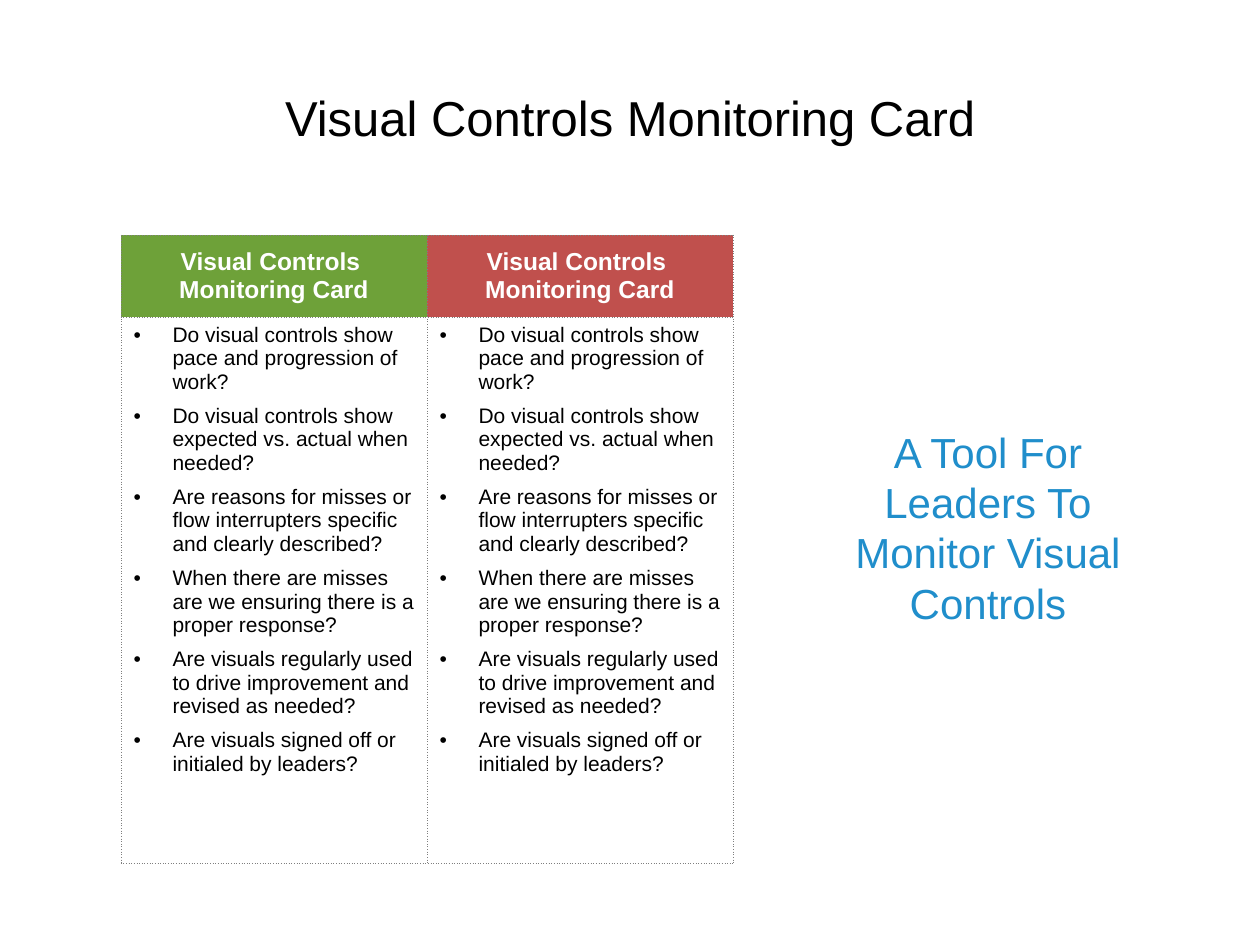
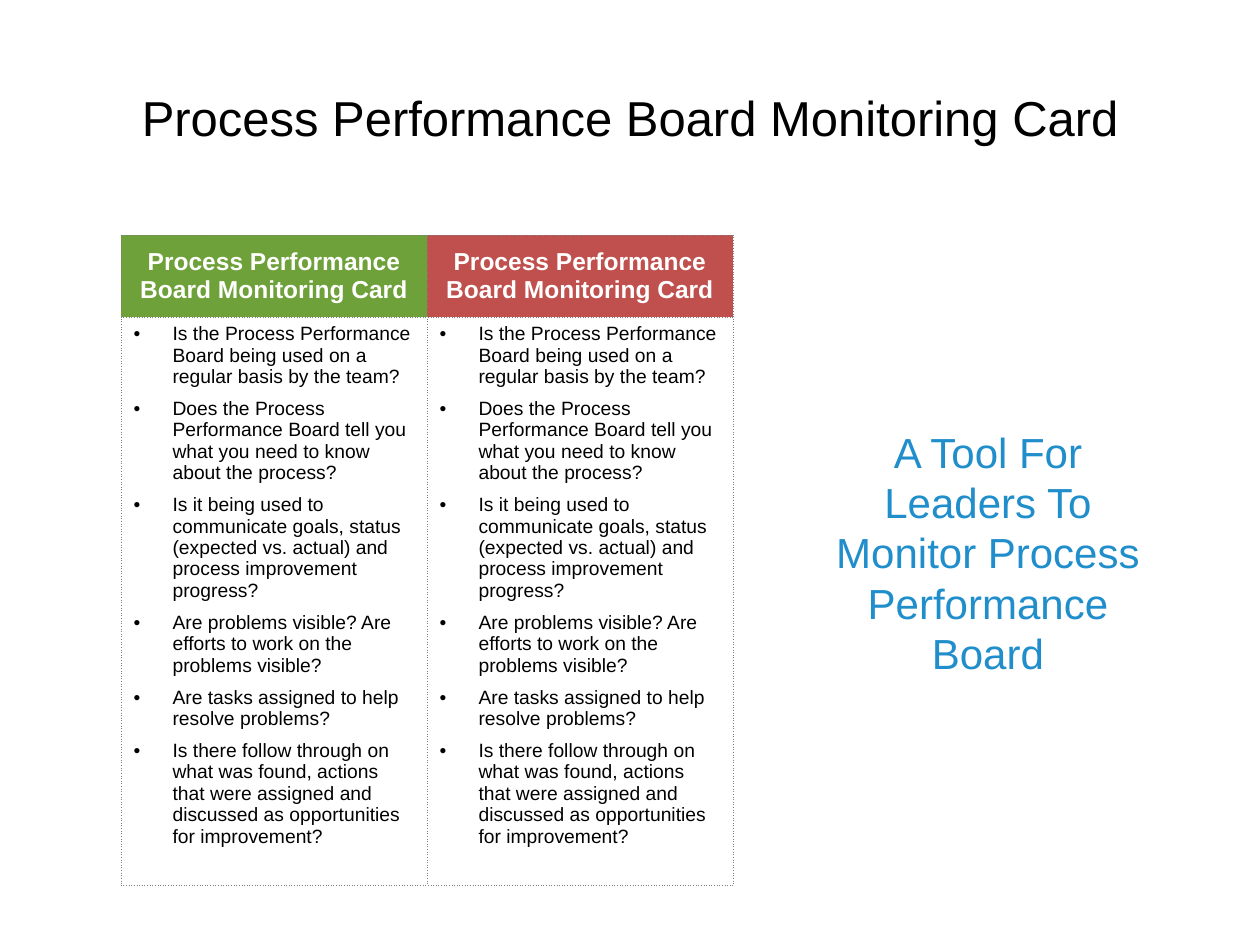
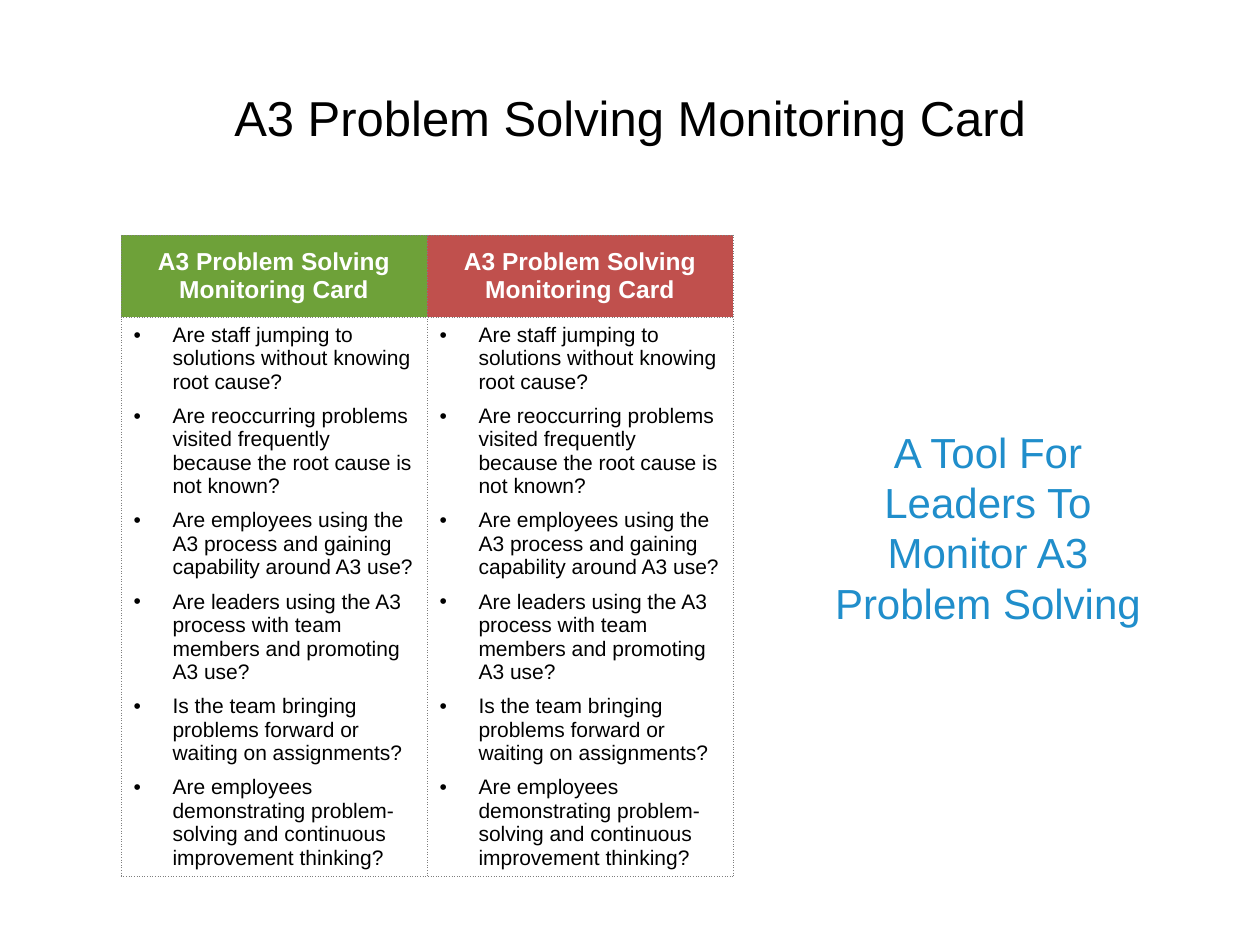
from lxml import etree
from pptx import Presentation
from pptx.dml.color import RGBColor
from pptx.enum.text import MSO_ANCHOR, MSO_AUTO_SIZE, PP_ALIGN
from pptx.oxml.ns import qn
from pptx.util import Pt

PX = 914400 // 126  # EMU per pixel
CENTER, LEFT = PP_ALIGN.CENTER, PP_ALIGN.LEFT
MIDDLE, TOP = MSO_ANCHOR.MIDDLE, MSO_ANCHOR.TOP
GROW = MSO_AUTO_SIZE.SHAPE_TO_FIT_TEXT
TITLE_ONLY = 5

FONT = "Arial"
COLORS = {
    "text": "000000",
    "header_text": "FFFFFF",
    "green": "6EA139",
    "red": "C0504D",
    "callout": "208ECB",
    "border": "7F7F7F",
}
CARD_COLORS = ("green", "red")
CARD_LEFT, CARD_TOP, CARD_WIDTH, HEADER_HEIGHT = 121, 235, 306, 82
BULLET_INDENT = 39


class Deck:
    """Holds the shared style and the current slide."""

    def __init__(self):
        self.prs = Presentation()
        self.prs.slide_width, self.prs.slide_height = 1260 * PX, 945 * PX
        self.slide = None

    def new_slide(self, title):
        self.slide = self.prs.slides.add_slide(self.prs.slide_layouts[TITLE_ONLY])
        heading = self.slide.shapes.title
        self.place(heading, 63, 38, 1134, 157)
        heading.text_frame.vertical_anchor = MIDDLE
        self.add_text(heading.text_frame.paragraphs[0], title, 28, "text", CENTER)

    def place(self, shape, left, top, width, height):
        shape.left, shape.top = left * PX, top * PX
        shape.width, shape.height = width * PX, height * PX

    def add_text(self, paragraph, text, size, color, align, bold=False):
        paragraph.alignment = align
        for number, line in enumerate(text.split("\n")):
            if number:
                paragraph.add_line_break()
            run = paragraph.add_run()
            run.text = line
            run.font.name, run.font.size, run.font.bold = FONT, Pt(size), bold
            run.font.color.rgb = RGBColor.from_string(COLORS[color])

    def bullet(self, paragraph):
        props = paragraph._p.get_or_add_pPr()
        props.set("marL", str(BULLET_INDENT * PX))
        props.set("indent", str(-BULLET_INDENT * PX))
        paragraph.space_after = Pt(6)
        etree.SubElement(props, qn("a:buFont"), typeface=FONT)
        etree.SubElement(props, qn("a:buChar"), char="•")

    def dotted_border(self, cell):
        props = cell._tc.get_or_add_tcPr()
        for side in ("lnL", "lnR", "lnT", "lnB"):
            line = etree.SubElement(props, qn(f"a:{side}"), w=str(Pt(0.25)))
            fill = etree.SubElement(line, qn("a:solidFill"))
            etree.SubElement(fill, qn("a:srgbClr"), val=COLORS["border"])
            etree.SubElement(line, qn("a:prstDash"), val="sysDot")

    def cards(self, heading, questions, size, body_height):
        """Two cards side by side with the same heading and questions."""
        frame = self.slide.shapes.add_table(
            2, len(CARD_COLORS), CARD_LEFT * PX, CARD_TOP * PX,
            CARD_WIDTH * len(CARD_COLORS) * PX, (HEADER_HEIGHT + body_height) * PX)
        table = frame.table
        table.first_row = table.horz_banding = False
        table.rows[0].height = HEADER_HEIGHT * PX
        table.rows[1].height = body_height * PX
        for column, color in enumerate(CARD_COLORS):
            table.columns[column].width = CARD_WIDTH * PX
            header, body = table.cell(0, column), table.cell(1, column)
            for cell in (header, body):
                self.dotted_border(cell)

            header.fill.solid()
            header.fill.fore_color.rgb = RGBColor.from_string(COLORS[color])
            header.vertical_anchor = MIDDLE
            self.add_text(header.text_frame.paragraphs[0], heading, 14,
                          "header_text", CENTER, bold=True)

            body.fill.background()
            body.vertical_anchor = TOP
            for number, question in enumerate(questions):
                text = body.text_frame
                paragraph = text.add_paragraph() if number else text.paragraphs[0]
                self.add_text(paragraph, question, size, "text", LEFT)
                self.bullet(paragraph)

    def callout(self, text, height):
        box = self.slide.shapes.add_textbox(816 * PX, 420 * PX, 344 * PX, height * PX)
        box.text_frame.word_wrap = True
        box.text_frame.auto_size = GROW
        self.add_text(box.text_frame.paragraphs[0], text, 24, "callout", CENTER)


deck = Deck()

# Visual controls
deck.new_slide("Visual Controls Monitoring Card")
deck.cards("Visual Controls \nMonitoring Card", [
    "Do visual controls show pace and progression of work?",
    "Do visual controls show expected vs. actual when needed?",
    "Are reasons for misses or flow interrupters specific and clearly described?",
    "When there are misses are we ensuring there is a proper response?",
    "Are visuals regularly used to drive improvement and revised as needed?",
    "Are visuals signed off or initialed by leaders?",
], size=12, body_height=546)
deck.callout("A Tool For Leaders To Monitor Visual Controls", 217)

# Process performance board
deck.new_slide("Process Performance Board Monitoring Card")
deck.cards("Process Performance Board Monitoring Card", [
    "Is the Process Performance Board being used on a regular basis by the team?",
    "Does the Process Performance Board tell you what you need to know about the process?",
    "Is it being used to communicate goals, status (expected vs. actual) and "
    "process improvement progress?",
    "Are problems visible? Are efforts to work on the problems visible?",
    "Are tasks assigned to help resolve problems?",
    "Is there follow through on what was found, actions that were assigned and "
    "discussed as opportunities for improvement?",
], size=11, body_height=568)
deck.callout("A Tool For Leaders To Monitor Process Performance Board", 267)

# A3 problem solving
deck.new_slide("A3 Problem Solving Monitoring Card")
deck.cards("A3 Problem Solving\nMonitoring Card", [
    "Are staff jumping to solutions without knowing root cause?",
    "Are reoccurring problems visited frequently because the root cause is not known?",
    "Are employees using the A3 process and gaining capability around A3 use?",
    "Are leaders using the A3 process with team members and promoting A3 use?",
    "Is the team bringing problems forward or waiting on assignments?",
    "Are employees demonstrating problem-solving and continuous improvement thinking?",
], size=12, body_height=559)
deck.callout("A Tool For Leaders To Monitor A3 Problem Solving", 217)

deck.prs.save("out.pptx")
